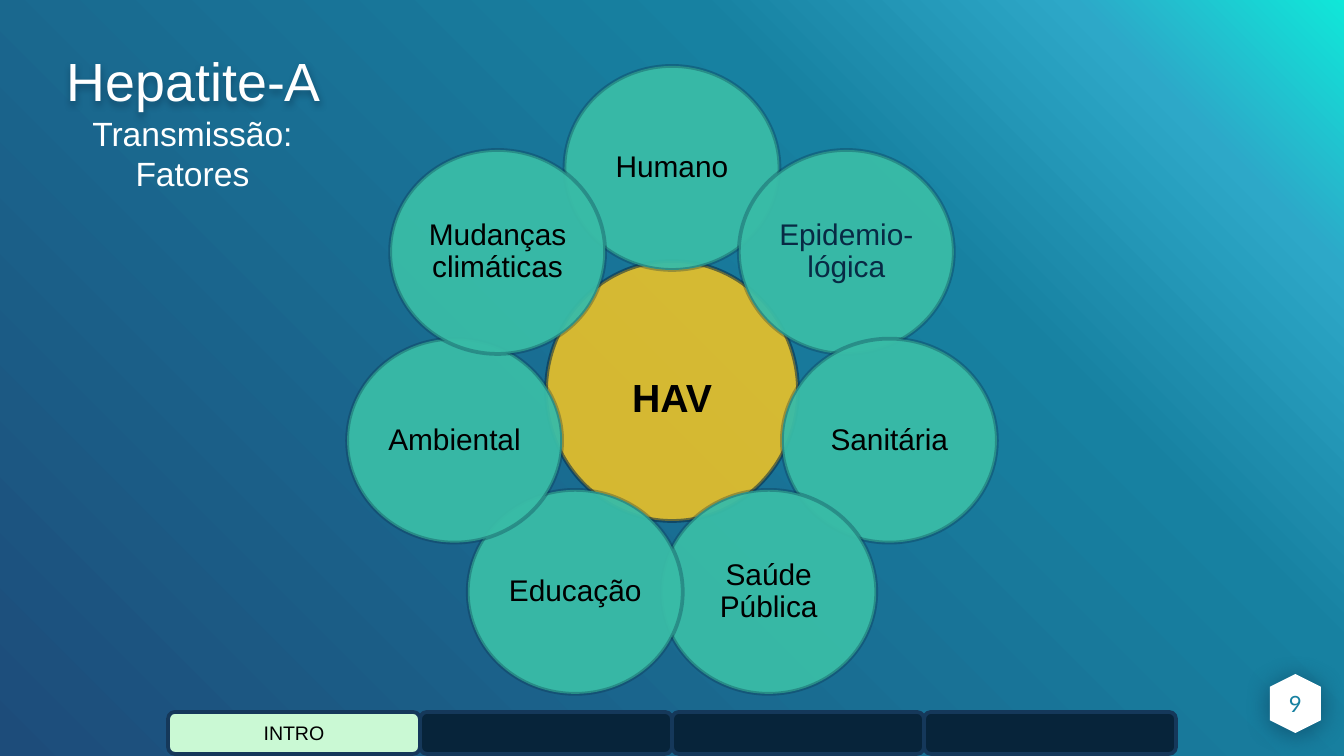
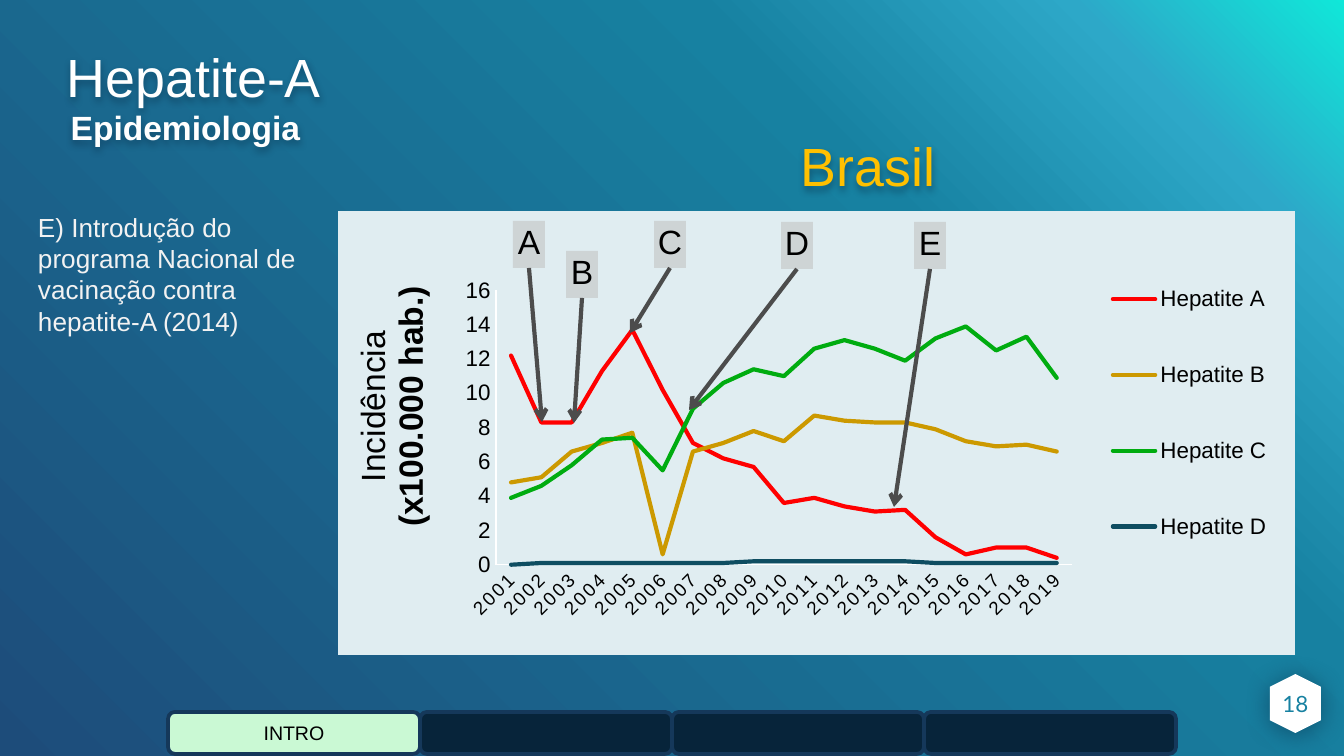
from math import cos, pi, sin

from lxml.etree import SubElement
from pptx import Presentation
from pptx.chart.data import CategoryChartData
from pptx.dml.color import RGBColor
from pptx.enum.chart import XL_CHART_TYPE, XL_LEGEND_POSITION, XL_TICK_MARK
from pptx.enum.shapes import MSO_CONNECTOR, MSO_SHAPE
from pptx.enum.text import MSO_ANCHOR, PP_ALIGN
from pptx.oxml import parse_xml
from pptx.oxml.ns import nsdecls, qn
from pptx.util import Pt

PX = 914400 / 134.4
FONT = "Arial"
BLACK = RGBColor(0x00, 0x00, 0x00)
WHITE = RGBColor(0xFF, 0xFF, 0xFF)
OFF_WHITE = RGBColor(0xF2, 0xF2, 0xF2)
NAVY = RGBColor(0x08, 0x2A, 0x44)
NAV_ON = RGBColor(0xCA, 0xF9, 0xD4)
NAV_OFF = RGBColor(0x07, 0x24, 0x3A)
NAV_LINE = RGBColor(0x15, 0x38, 0x5A)
TEAL = RGBColor(0x17, 0x81, 0xA1)
GREEN = RGBColor(0x39, 0xBC, 0xA7)
YELLOW = RGBColor(0xFF, 0xC9, 0x1D)
GOLD = RGBColor(0xFF, 0xC0, 0x00)
TAG = RGBColor(0xBF, 0xBF, 0xBF)
ARROW = RGBColor(0x4C, 0x4C, 0x4C)
PANEL = RGBColor(0xE0, 0xED, 0xF1)
GRADIENT = [
    (0, RGBColor(0x10, 0xE7, 0xD9)),
    (13, RGBColor(0x2D, 0xA8, 0xC8)),
    (31, TEAL),
    (100, RGBColor(0x1D, 0x4C, 0x7A)),
]
FACTORS = ["Humano", "Epidemio-lógica", "Sanitária", "Saúde Pública",
           "Educação", "Ambiental", "Mudanças climáticas"]
YEARS = [str(year) for year in range(2001, 2020)]
INCIDENCE = [
    ("Hepatite A", RGBColor(0xFF, 0x00, 0x00),
     [12.2, 8.3, 8.3, 11.3, 13.7, 10.2, 7.1, 6.2, 5.7, 3.6,
      3.9, 3.4, 3.1, 3.2, 1.6, 0.6, 1, 1, 0.4]),
    ("Hepatite B", RGBColor(0xCC, 0x99, 0x00),
     [4.8, 5.1, 6.6, 7.1, 7.7, 0.6, 6.6, 7.1, 7.8, 7.2,
      8.7, 8.4, 8.3, 8.3, 7.9, 7.2, 6.9, 7, 6.6]),
    ("Hepatite C", RGBColor(0x00, 0xAC, 0x10),
     [3.9, 4.6, 5.8, 7.3, 7.4, 5.5, 9.1, 10.6, 11.4, 11,
      12.6, 13.1, 12.6, 11.9, 13.2, 13.9, 12.5, 13.3, 10.9]),
    ("Hepatite D", RGBColor(0x0E, 0x4D, 0x61),
     [0] + [0.1] * 7 + [0.2] * 6 + [0.1] * 5),
]
EVENTS = [
    ("A", (513, 221), (542, 422)),
    ("B", (566, 251), (574, 423)),
    ("C", (654, 221), (630, 333)),
    ("D", (781, 222), (689, 410)),
    ("E", (914, 222), (894, 507)),
]


def px(*values):
    """Turn pixel lengths into EMU."""
    return [round(v * PX) for v in values]


def set_alpha(fill, percent):
    """Make a solid fill partly transparent."""
    color = fill._xPr.find(qn("a:solidFill"))[0]
    SubElement(color, qn("a:alpha")).set("val", str(percent * 1000))


def shadow_xml(blur, dist, alpha):
    """Return an effect list with one downward shadow."""
    return parse_xml(
        f'<a:effectLst {nsdecls("a")}><a:outerShdw blurRad="{Pt(blur)}" '
        f'dist="{Pt(dist)}" dir="5400000" algn="t" rotWithShape="0">'
        f'<a:srgbClr val="{NAVY}"><a:alpha val="{alpha * 1000}"/></a:srgbClr>'
        '</a:outerShdw></a:effectLst>')


def write(tf, lines, size, color, align=PP_ALIGN.CENTER, bold=False, font=FONT,
          anchor=MSO_ANCHOR.MIDDLE, spacing=None, insets=(0, 0, 0, 0)):
    """Fill a text frame, one paragraph per line."""
    tf.word_wrap = True
    tf.vertical_anchor = anchor
    tf.margin_left, tf.margin_top, tf.margin_right, tf.margin_bottom = px(*insets)
    for i, line in enumerate(lines):
        p = tf.add_paragraph() if i else tf.paragraphs[0]
        p.alignment = align
        if spacing:
            p.line_spacing = spacing
        r = p.add_run()
        r.text = line
        style(r.font, size, color, bold, font)


def style(font, size, color, bold=False, name=FONT):
    """Set size, colour, weight and face of a font."""
    font.size = Pt(size)
    font.bold = bold
    font.color.rgb = color
    font.name = name


def add_text(slide, box, lines, size, color, shadow=False, **options):
    """Add a text box, with a soft shadow if wanted."""
    tb = slide.shapes.add_textbox(*px(*box))
    write(tb.text_frame, lines, size, color, **options)
    if shadow:
        tb._element.spPr.append(shadow_xml(4, 2, 45))


def add_shape(slide, kind, box, fill, alpha=None, line=None, line_alpha=None):
    """Add a flat preset shape."""
    sp = slide.shapes.add_shape(kind, *px(*box))
    sp.shadow.inherit = False
    sp.fill.solid()
    sp.fill.fore_color.rgb = fill
    if alpha:
        set_alpha(sp.fill, alpha)
    if line is None:
        sp.line.fill.background()
    else:
        sp.line.color.rgb = line
        sp.line.width = Pt(2)
        if line_alpha:
            set_alpha(sp.line.fill, line_alpha)
    return sp


def set_background(prs):
    """Give the master the diagonal gradient."""
    master = prs.slide_master
    fill = master.background.fill
    fill.gradient()
    fill.gradient_angle = 225
    stops = master.element.xpath(".//p:bg//a:gsLst")[0]
    for stop in list(stops):
        stops.remove(stop)
    for pos, color in GRADIENT:
        gs = SubElement(stops, qn("a:gs"), pos=str(pos * 1000))
        SubElement(gs, qn("a:srgbClr"), val=str(color))


def add_page(prs, number, title_top):
    """Add a slide with its title, section bar and number badge."""
    slide = prs.slides.add_slide(prs.slide_layouts[6])
    badge = add_shape(slide, MSO_SHAPE.HEXAGON, (1266, 678, 59, 51), WHITE)
    badge.rotation = 270
    properties = badge._element.spPr
    properties.replace(properties.find(qn("a:effectLst")), shadow_xml(13.5, 1.5, 50))
    add_text(slide, (1270, 674, 51, 59), [str(number)], 12, TEAL, font="Lato")
    tabs = [add_shape(slide, MSO_SHAPE.ROUNDED_RECTANGLE, (168 + 252 * i, 712, 252, 42),
                      NAV_OFF if i else NAV_ON, line=NAV_LINE) for i in range(4)]
    write(tabs[0].text_frame, ["INTRO"], 10.5, BLACK)
    add_text(slide, (67, title_top, 394, 51), ["Hepatite-A"], 28.8, WHITE,
             align=PP_ALIGN.LEFT, spacing=0.7, shadow=True)
    return slide


def add_flower(slide, cx, cy, radius):
    """Draw the core and its ring of factors, clockwise from the top."""
    core = add_shape(slide, MSO_SHAPE.OVAL, (cx - 126, cy - 130, 252, 260),
                     YELLOW, 82, NAVY, 55)
    write(core.text_frame, ["HAV"], 21, BLACK, bold=True, spacing=0.9,
          insets=(4, 21, 4, 4))
    w, h = 215, 204
    for i, factor in enumerate(FACTORS):
        angle = 2 * pi * i / len(FACTORS)
        x, y = cx + radius * sin(angle), cy - radius * cos(angle)
        petal = add_shape(slide, MSO_SHAPE.OVAL, (x - w / 2, y - h / 2, w, h),
                          GREEN, 95, NAVY, 30)
        write(petal.text_frame, [factor], 16, NAVY if i == 1 else BLACK, spacing=0.9)


def set_layout(parent, index, x, y, w=None, h=None, inner=False):
    """Place a chart part by fractions of the chart."""
    for old in parent.findall(qn("c:layout")):
        parent.remove(old)
    layout = parse_xml(f'<c:layout {nsdecls("c")}><c:manualLayout/></c:layout>')
    manual = layout[0]
    if inner:
        SubElement(manual, qn("c:layoutTarget"), val="inner")
    for tag in ("xMode", "yMode"):
        SubElement(manual, qn(f"c:{tag}"), val="edge")
    for tag, value in (("x", x), ("y", y), ("w", w), ("h", h)):
        if value is not None:
            SubElement(manual, qn(f"c:{tag}"), val=str(value))
    parent.insert(index, layout)


def style_axis(axis, size):
    """Give an axis a thin white line, no ticks and black labels."""
    axis.has_major_gridlines = False
    axis.major_tick_mark = axis.minor_tick_mark = XL_TICK_MARK.NONE
    axis.format.line.color.rgb = WHITE
    axis.format.line.width = Pt(0.75)
    style(axis.tick_labels.font, size, BLACK)


def add_incidence_chart(slide):
    """Add the line chart of yearly incidence."""
    data = CategoryChartData()
    data.categories = YEARS
    for name, _, values in INCIDENCE:
        data.add_series(name, values)
    frame = slide.shapes.add_chart(XL_CHART_TYPE.LINE, *px(338, 211, 957, 444), data)
    chart = frame.chart
    chart.has_title = False
    style(chart.font, 10, WHITE)
    space = chart._chartSpace
    space.find(qn("c:chart")).addnext(parse_xml(
        f'<c:spPr {nsdecls("c", "a")}><a:solidFill><a:srgbClr val="{PANEL}"/>'
        '</a:solidFill><a:ln><a:noFill/></a:ln></c:spPr>'))
    chart.plots[0].vary_by_categories = False
    for series, (_, color, _) in zip(chart.plots[0].series, INCIDENCE):
        series.smooth = False
        line = series.format.line
        line.color.rgb = color
        line.width = Pt(2.25)
        line._get_or_add_ln().set("cap", "rnd")

    years, values = chart.category_axis, chart.value_axis
    style_axis(years, 10)
    years._element.find(qn("c:txPr")).find(qn("a:bodyPr")).set("rot", "-2700000")
    years.tick_labels.font._rPr.set("spc", "150")
    style_axis(values, 12)
    values.minimum_scale, values.maximum_scale, values.major_unit = 0, 16, 2
    values.tick_labels.number_format = "#,##0"
    values.tick_labels.number_format_is_linked = False
    tf = values.axis_title.text_frame
    for p, text, bold in ((tf.paragraphs[0], "Incidência", False),
                          (tf.add_paragraph(), "(x100.000 hab.)", True)):
        r = p.add_run()
        r.text = text
        style(r.font, 18, BLACK, bold)
    tf._txBody.find(qn("a:bodyPr")).set("rot", "-5400000")
    set_layout(values.axis_title._element, 1, 0.01, 0.16)

    chart.has_legend = True
    chart.legend.position = XL_LEGEND_POSITION.RIGHT
    chart.legend.include_in_layout = False
    style(chart.legend.font, 12, BLACK)
    set_layout(chart.legend._element, 1, 0.8, 0.055, 0.18, 0.8)
    set_layout(space.chart.plotArea, 0, 0.165, 0.179, 0.602, 0.618, inner=True)


def add_event(slide, letter, corner, target):
    """Add a lettered tag with an arrow to its point on the chart."""
    tag = add_shape(slide, MSO_SHAPE.RECTANGLE, (*corner, 32, 47), TAG, 54)
    write(tag.text_frame, [letter], 18, BLACK, anchor=MSO_ANCHOR.TOP)
    cn = slide.shapes.add_connector(MSO_CONNECTOR.STRAIGHT, *px(*corner, *target))
    cn.begin_connect(tag, 2)
    cn.line.color.rgb = ARROW
    cn.line.width = Pt(2.25)
    SubElement(cn.line._get_or_add_ln(), qn("a:tailEnd"), type="arrow")
    SubElement(cn._element.spPr, qn("a:effectLst"))


def main():
    """Build both slides and save them."""
    prs = Presentation()
    prs.slide_width, prs.slide_height = px(1344, 756)
    set_background(prs)

    slide = add_page(prs, 9, 62)
    add_flower(slide, 672, 391, 223)
    add_text(slide, (67, 106, 251, 95), ["Transmissão:", "Fatores"], 18, WHITE,
             anchor=MSO_ANCHOR.TOP, insets=(13, 7, 13, 7))

    slide = add_page(prs, 18, 58)
    add_text(slide, (796, 144, 144, 51), ["Brasil"], 28.8, GOLD, spacing=0.9, shadow=True)
    add_text(slide, (62, 107, 247, 63), ["Epidemiologia"], 18, WHITE, bold=True,
             anchor=MSO_ANCHOR.TOP, shadow=True)
    add_incidence_chart(slide)
    for event in EVENTS:
        add_event(slide, *event)
    add_text(slide, (38, 211, 275, 126),
             ["E) Introdução do programa Nacional de vacinação contra hepatite-A (2014)"],
             14, OFF_WHITE, align=PP_ALIGN.LEFT, anchor=MSO_ANCHOR.TOP)
    prs.save("out.pptx")


if __name__ == "__main__":
    main()
